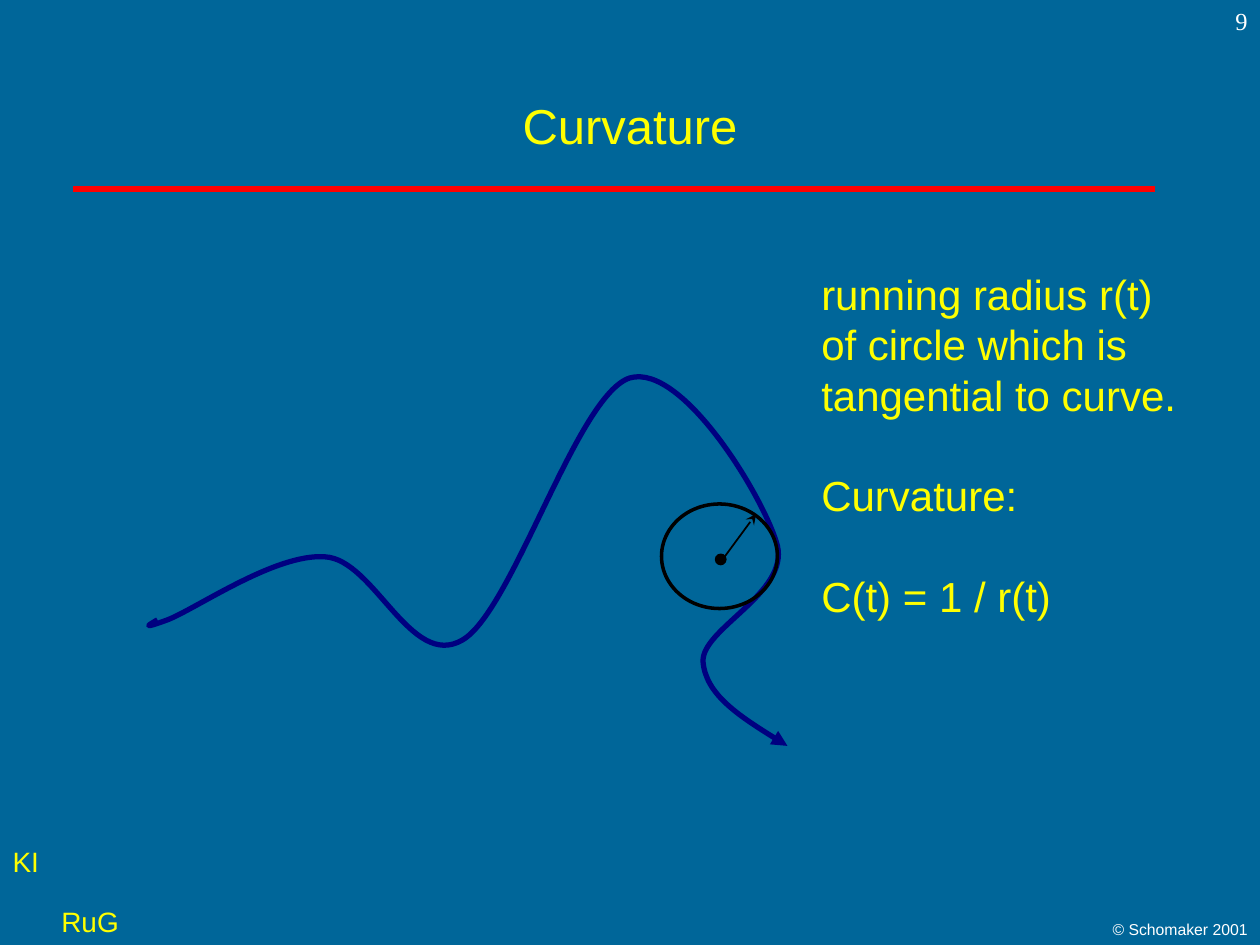
"""Build a slide that explains curvature with a circle tangential to a curve."""
from dataclasses import dataclass

from lxml.etree import SubElement
from pptx import Presentation
from pptx.dml.color import RGBColor
from pptx.enum.shapes import MSO_CONNECTOR, MSO_SHAPE
from pptx.enum.text import MSO_ANCHOR, PP_ALIGN
from pptx.oxml.ns import qn
from pptx.util import Inches, Pt

BACKGROUND = RGBColor(0x00, 0x66, 0x99)
YELLOW = RGBColor(0xFF, 0xFF, 0x00)
WHITE = RGBColor(0xFF, 0xFF, 0xFF)
RED = RGBColor(0xFF, 0x00, 0x00)
NAVY = RGBColor(0x00, 0x00, 0x80)
BLACK = RGBColor(0x00, 0x00, 0x00)

LINE_HEIGHT = 1.2

CURVE_POINTS = [
    (1.25, 4.92),
    (1.18, 4.96), (1.11, 5), (1.33, 4.92),
    (1.56, 4.83), (2.19, 4.39), (2.58, 4.42),
    (2.97, 4.44), (3.26, 5.32), (3.67, 5.08),
    (4.07, 4.85), (4.58, 3.13), (5, 3),
    (5.42, 2.88), (6.07, 3.96), (6.17, 4.33),
    (6.26, 4.71), (5.57, 4.99), (5.58, 5.25),
    (5.6, 5.51), (5.92, 5.72), (6.25, 5.92),
]


@dataclass(frozen=True)
class Label:
    """Text box with one style; sections are separated by an empty line's height."""

    box: tuple[float, float, float, float]
    sections: tuple[tuple[str, ...], ...]
    size: float
    color: RGBColor = YELLOW
    align: PP_ALIGN = PP_ALIGN.LEFT
    font: str = "Arial"
    wrap: bool = False


@dataclass(frozen=True)
class Circle:
    """Ellipse with a black outline."""

    box: tuple[float, float, float, float]
    line_width: float
    filled: bool = False


LABELS = [
    Label((0, 6.65, 0.41, 0.37), (("KI",),), 16, align=PP_ALIGN.CENTER),
    Label((0.36, 7.13, 0.71, 0.37), (("RuG",),), 16, align=PP_ALIGN.CENTER),
    Label((7.67, 7.25, 2.33, 0.25), (("© Schomaker 2001",),), 9, WHITE, PP_ALIGN.RIGHT, wrap=True),
    Label((7.92, 0, 2.08, 0.5), (("9",),), 14, WHITE, PP_ALIGN.RIGHT, "Times New Roman", True),
    Label(
        (6.42, 2.08, 3.1, 2.9),
        (
            ("running radius r(t)", "of circle which is", "tangential to curve."),
            ("Curvature:",),
            ("C(t) = 1 / r(t)",),
        ),
        24,
    ),
]

CIRCLES = [
    Circle((5.25, 4, 0.92, 0.83), 2),
    Circle((5.68, 4.4, 0.08, 0.08), 1, filled=True),
]


def style_font(paragraph, name: str, size: float, color: RGBColor) -> None:
    """Set the font of a whole paragraph."""
    paragraph.font.name = name
    paragraph.font.size = Pt(size)
    paragraph.font.color.rgb = color


def style_line(shape, color: RGBColor, width: float, arrowhead: str = "") -> None:
    """Set the outline of a shape or connector and its optional arrowhead."""
    shape.line.color.rgb = color
    shape.line.width = Pt(width)
    if arrowhead:
        SubElement(shape.line._get_or_add_ln(), qn("a:tailEnd"), type=arrowhead)


def add_title(slide, text: str) -> None:
    """Place and format the title placeholder."""
    title = slide.shapes.title
    title.left, title.top = Inches(0.75), Inches(0.66)
    title.width, title.height = Inches(8.5), Inches(0.67)
    title.text_frame.text = text
    title.text_frame.vertical_anchor = MSO_ANCHOR.MIDDLE
    paragraph = title.text_frame.paragraphs[0]
    paragraph.alignment = PP_ALIGN.CENTER
    style_font(paragraph, "Arial", 28, YELLOW)


def add_label(slide, label: Label) -> None:
    """Add a text box with its sections."""
    frame = slide.shapes.add_textbox(*map(Inches, label.box)).text_frame
    frame.word_wrap = label.wrap
    frame.text = "\n".join(line for section in label.sections for line in section)
    paragraphs = iter(frame.paragraphs)
    for section_index, section in enumerate(label.sections):
        for line_index in range(len(section)):
            paragraph = next(paragraphs)
            paragraph.alignment = label.align
            paragraph.line_spacing = Pt(label.size * LINE_HEIGHT)
            if section_index and not line_index:
                paragraph.space_before = Pt(label.size * LINE_HEIGHT)
            style_font(paragraph, label.font, label.size, label.color)


def add_line(
    slide,
    start: tuple[float, float],
    end: tuple[float, float],
    color: RGBColor,
    width: float,
    arrowhead: str = "",
) -> None:
    """Add a straight line without shadow."""
    connector = slide.shapes.add_connector(
        MSO_CONNECTOR.STRAIGHT, *map(Inches, start), *map(Inches, end)
    )
    style_line(connector, color, width, arrowhead)
    SubElement(connector._element.spPr, qn("a:effectLst"))


def add_curve(slide, points: list[tuple[float, float]]) -> None:
    """Add an open Bézier curve: a start, then three points for each segment."""
    start, *others = [(Inches(x), Inches(y)) for x, y in points]
    builder = slide.shapes.build_freeform(*start)
    builder.add_line_segments(others, close=False)
    curve = builder.convert_to_shape()
    curve.shadow.inherit = False
    curve.fill.background()
    style_line(curve, NAVY, 3, "triangle")
    path = next(curve._element.iter(qn("a:path")))
    segments = path.findall(qn("a:lnTo"))
    for first in range(0, len(segments), 3):
        bezier = SubElement(path, qn("a:cubicBezTo"))
        for segment in segments[first:first + 3]:
            bezier.append(segment[0])
            path.remove(segment)


def add_circle(slide, circle: Circle) -> None:
    """Add a hollow or filled black circle."""
    shape = slide.shapes.add_shape(MSO_SHAPE.OVAL, *map(Inches, circle.box))
    shape.shadow.inherit = False
    if circle.filled:
        shape.fill.solid()
        shape.fill.fore_color.rgb = BLACK
    else:
        shape.fill.background()
    style_line(shape, BLACK, circle.line_width)


def main() -> None:
    """Build and save the presentation."""
    presentation = Presentation()
    presentation.slide_width, presentation.slide_height = Inches(10), Inches(7.5)
    slide = presentation.slides.add_slide(presentation.slide_layouts.get_by_name("Title Only"))
    slide.background.fill.solid()
    slide.background.fill.fore_color.rgb = BACKGROUND
    add_title(slide, "Curvature")
    add_line(slide, (0.58, 1.5), (9.17, 1.5), RED, 3)
    add_curve(slide, CURVE_POINTS)
    for circle in CIRCLES:
        add_circle(slide, circle)
    add_line(slide, (5.75, 4.42), (6, 4.08), BLACK, 1, "stealth")
    for label in LABELS:
        add_label(slide, label)
    presentation.save("out.pptx")


if __name__ == "__main__":
    main()
